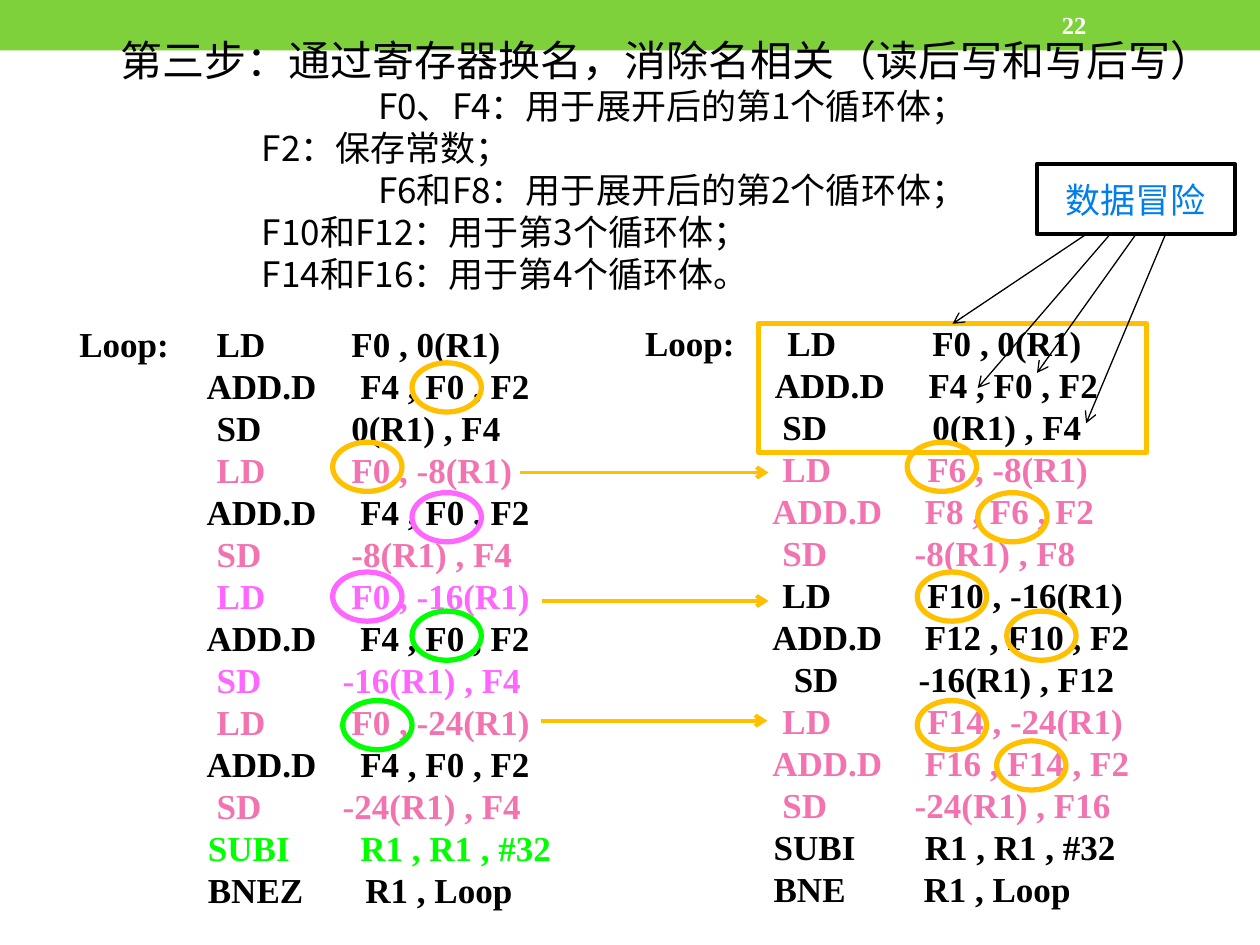
from lxml import etree
from pptx import Presentation
from pptx import util as u
from pptx.dml.color import RGBColor
from pptx.enum import shapes, text
from pptx.oxml.ns import qn

COLORS = {
    "green": "7FD13B", "white": "FFFFFF", "black": "000000", "pink": "F273AF",
    "violet": "FF66FF", "lime": "00FF00", "amber": "FFC000", "blue": "007EEB",
}
SERIF, SANS, CALLOUT = "Times New Roman", "Noto Sans CJK SC", "Cabin"
FIRST_INDENT = 0.26
CODE_INSET = 0.36


def color(name):
    return RGBColor.from_string(COLORS[name])


def write(para, words, font=SERIF, size=20, ink="black", bold=False, align=None,
          indent=None, spacing=None, tabs=()):
    """Fill one paragraph; indent and tabs are inches from the text edge."""
    para.alignment = align
    if spacing:
        para.line_spacing = u.Pt(spacing)
    props = para._p.get_or_add_pPr()
    if indent is not None:
        props.set("marL", "0")
        props.set("indent", str(u.Inches(indent)))
    if tabs:
        stops = etree.SubElement(props, qn("a:tabLst"))
        for stop in tabs:
            etree.SubElement(stops, qn("a:tab"), pos=str(u.Inches(stop)), algn="l")
    span = para.add_run()
    span.text = words
    span.font.name, span.font.size, span.font.bold = font, u.Pt(size), bold
    span.font.color.rgb = color(ink)
    east = etree.SubElement(span._r.get_or_add_rPr(), qn("a:ea"))
    east.set("typeface", SANS)


class Painter:
    """Draws elements on the current page in one style."""

    def __init__(self, page):
        self.page = page

    def shape(self, kind, left, top, width, height, fill=None, line=None, weight=3):
        item = self.page.shapes.add_shape(
            kind, *(u.Inches(n) for n in (left, top, width, height)))
        item.shadow.inherit = False
        if fill:
            item.fill.solid()
            item.fill.fore_color.rgb = color(fill)
        else:
            item.fill.background()
        if line:
            item.line.color.rgb = color(line)
            item.line.width = u.Pt(weight)
        else:
            item.line.fill.background()
        return item

    def ring(self, left, top, ink):
        return self.shape(shapes.MSO_SHAPE.OVAL, left, top, 0.55, 0.39, line=ink)

    def box(self, left, top, width, height, inset=0.1):
        frame = self.page.shapes.add_textbox(
            *(u.Inches(n) for n in (left, top, width, height))).text_frame
        frame.word_wrap = True
        frame.margin_left = u.Inches(inset)
        frame.vertical_anchor = text.MSO_ANCHOR.MIDDLE
        return frame

    def lines(self, frame, rows):
        for number, (words, style) in enumerate(rows):
            para = frame.add_paragraph() if number else frame.paragraphs[0]
            write(para, words, **style)

    def listing(self, left, top, width, rows):
        """Assembly code: label, opcode and operands at their page positions."""
        edge = left + CODE_INSET
        self.lines(self.box(left, top, width, 4.81, inset=CODE_INSET), [
            (f"{'' if number else 'Loop:'}\t{opcode}\t{operands}",
             dict(ink=ink, bold=True, spacing=24,
                  tabs=(opcode_x - edge, operands_x - edge)))
            for number, (opcode, opcode_x, operands, operands_x, ink) in enumerate(rows)])

    def arrow(self, start, end, ink, weight):
        line = self.page.shapes.add_connector(
            shapes.MSO_CONNECTOR.STRAIGHT, *(u.Inches(n) for n in (*start, *end)))
        line.line.color.rgb = color(ink)
        line.line.width = u.Pt(weight)
        etree.SubElement(line.line._get_or_add_ln(), qn("a:tailEnd"), type="arrow")
        etree.SubElement(line._element.spPr, qn("a:effectLst"))
        return line


def main():
    deck = Presentation()
    deck.slide_width, deck.slide_height = u.Inches(10), u.Inches(7.5)
    page = deck.slides.add_slide(deck.slide_layouts[6])
    paint = Painter(page)

    # Top band and page number
    paint.shape(shapes.MSO_SHAPE.RECTANGLE, 0, 0, 10, 0.4, fill="green")
    write(paint.box(8.33, 0.02, 1.17, 0.36).paragraphs[0], "22",
          size=14, ink="white", bold=True)

    # Heading and register use
    centred = dict(font=SANS, indent=FIRST_INDENT, spacing=24,
                   align=text.PP_ALIGN.CENTER)
    indented = dict(font=SANS, indent=1.38, spacing=24)
    paint.lines(paint.box(0.6, 0.21, 9.21, 2.19), [
        ("第三步：通过寄存器换名，消除名相关（读后写和写后写）",
         dict(font=SANS, size=24, indent=FIRST_INDENT, spacing=29)),
        ("F0、F4：用于展开后的第1个循环体；", centred),
        ("F2：保存常数；", indented),
        ("F6和F8：用于展开后的第2个循环体；", centred),
        ("F10和F12：用于第3个循环体；", indented),
        ("F14和F16：用于第4个循环体。", indented),
    ])

    # Code after renaming
    paint.listing(4.76, 2.48, 4.88, [
        ("LD", 6.25, "F0 , 0(R1)", 7.4, "black"),
        ("ADD.D", 6.15, "F4 , F0 , F2", 7.37, "black"),
        ("SD", 6.21, "0(R1) , F4", 7.4, "black"),
        ("LD", 6.21, "F6 , -8(R1)", 7.36, "pink"),
        ("ADD.D", 6.13, "F8 , F6 , F2", 7.34, "pink"),
        ("SD", 6.21, "-8(R1) , F8", 7.26, "pink"),
        ("LD", 6.21, "F10 , -16(R1)", 7.36, "black"),
        ("ADD.D", 6.13, "F12 , F10 , F2", 7.34, "black"),
        ("SD", 6.3, "-16(R1) , F12", 7.29, "black"),
        ("LD", 6.21, "F14 , -24(R1)", 7.36, "pink"),
        ("ADD.D", 6.13, "F16 , F14 , F2", 7.34, "pink"),
        ("SD", 6.21, "-24(R1) , F16", 7.26, "pink"),
        ("SUBI", 6.14, "R1 , R1 , #32", 7.34, "black"),
        ("BNE", 6.14, "R1 , Loop", 7.33, "black"),
    ])

    # Code before renaming
    add = ("ADD.D", 1.64, "F4 , F0 , F2", 2.86, "black")
    paint.listing(0.27, 2.49, 4.77, [
        ("LD", 1.72, "F0 , 0(R1)", 2.79, "black"), add,
        ("SD", 1.72, "0(R1) , F4", 2.79, "black"),
        ("LD", 1.72, "F0 , -8(R1)", 2.79, "pink"), add,
        ("SD", 1.72, "-8(R1) , F4", 2.79, "pink"),
        ("LD", 1.72, "F0 , -16(R1)", 2.79, "violet"), add,
        ("SD", 1.72, "-16(R1) , F4", 2.72, "violet"),
        ("LD", 1.72, "F0 , -24(R1)", 2.79, "pink"), add,
        ("SD", 1.72, "-24(R1) , F4", 2.72, "pink"),
        ("SUBI", 1.65, "R1 , R1 , #32", 2.86, "lime"),
        ("BNEZ", 1.65, "R1 , Loop", 2.9, "black"),
    ])

    # Arrows from old to renamed loads
    for start, end, y in ((4.13, 6.1, 3.75), (4.3, 6.1, 4.77), (4.29, 6.09, 5.72)):
        paint.arrow((start, y), (end, y), "amber", 2.25)

    # Rings on the registers
    for left, top, ink in (
            (3.27, 2.88, "amber"), (2.64, 3.51, "amber"),
            (2.64, 4.54, "violet"), (3.27, 3.91, "violet"),
            (3.27, 4.85, "lime"), (2.72, 5.56, "lime"),
            (7.2, 3.51, "amber"), (7.76, 3.91, "amber"),
            (7.28, 4.54, "amber"), (7.99, 4.85, "amber"),
            (7.28, 5.56, "amber"), (7.91, 5.88, "amber")):
        paint.ring(left, top, ink)

    # First loop body and the data hazard callout
    body = paint.shape(shapes.MSO_SHAPE.RECTANGLE, 6.02, 2.57, 3.08, 1.02, line="amber")
    hazard = paint.shape(shapes.MSO_SHAPE.RECTANGLE, 8.23, 1.3, 1.57, 0.56,
                         line="black", weight=2.25)
    hazard.text_frame.vertical_anchor = text.MSO_ANCHOR.MIDDLE
    write(hazard.text_frame.paragraphs[0], "数据冒险", font=CALLOUT, ink="blue",
          align=text.PP_ALIGN.CENTER)
    to_body, to_sum, _, _ = [
        paint.arrow((start, 1.86), end, "black", 0.75)
        for start, end in ((8.62, (7.56, 2.57)), (9.02, (8.23, 2.96)),
                           (8.81, (7.76, 3.08)), (9.25, (8.62, 3.36)))]
    to_body.end_connect(body, 0)
    to_sum.begin_connect(hazard, 2)

    deck.save("out.pptx")


if __name__ == "__main__":
    main()
